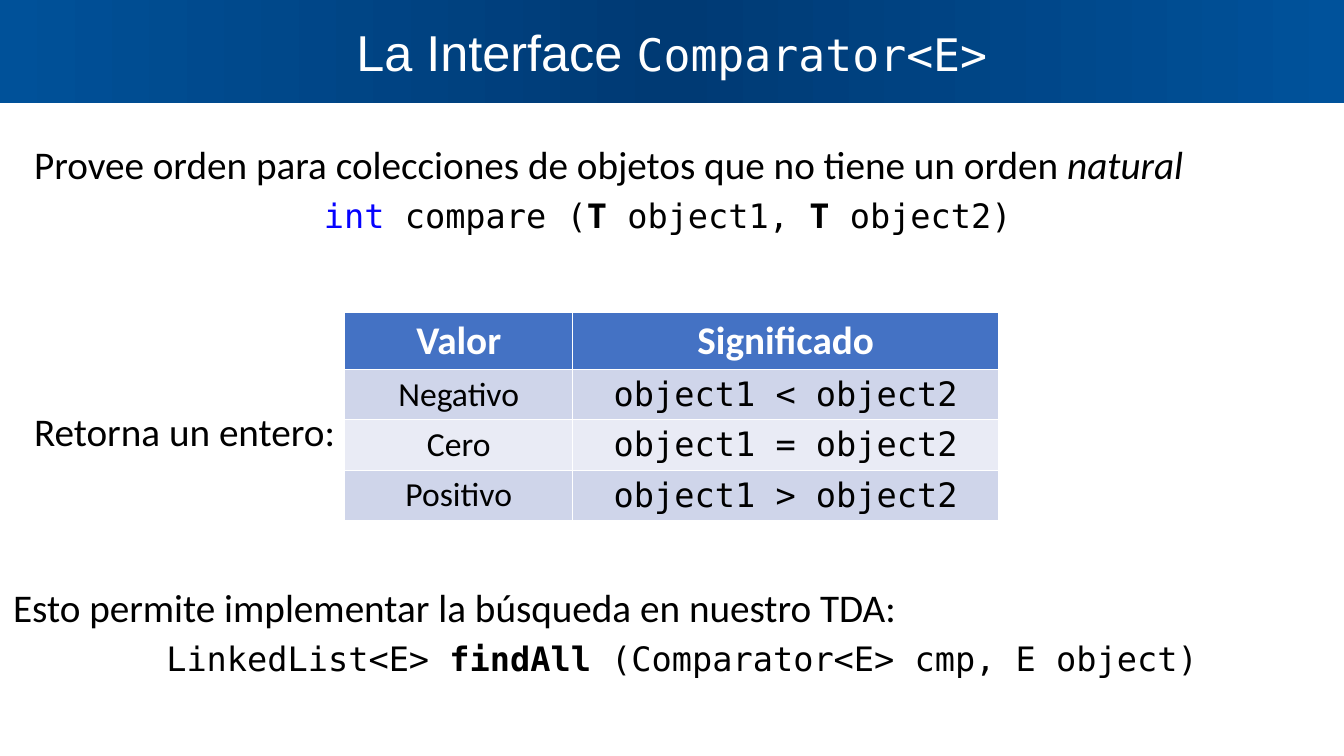
from copy import deepcopy
from pptx import Presentation
from pptx import util as u
from pptx.dml.color import RGBColor
from pptx.enum import text
from pptx.oxml.ns import qn

SANS, MONO = "Calibri", "DejaVu Sans Mono"
BLACK, WHITE, KEYWORD = "000000", "FFFFFF", "0602FF"
HEADER, BAND_DARK, BAND_LIGHT = "4472C4", "CFD5EA", "E9EBF5"
BANNER = [(0, "00529B"), (0.5, "003A74"), (1, "005199")]


def rgb(value):
    return RGBColor.from_string(value)


def add_run(p, words, size, font, color=BLACK, bold=False, italic=False):
    r = p.add_run()
    r.text = words
    f = r.font
    f.size, f.name, f.bold, f.italic = u.Pt(size), font, bold, italic
    f.color.rgb = rgb(color)


def place(sp, left, top, width, height):
    sp.left, sp.top = u.Cm(left), u.Cm(top)
    sp.width, sp.height = u.Cm(width), u.Cm(height)


def banner(s, left, top, width, height):
    """Title on a three-stop horizontal gradient."""
    sp = s.shapes.title
    place(sp, left, top, width, height)
    sp.fill.gradient()
    sp.fill.gradient_angle = 180
    stops = sp.element.spPr.find(".//" + qn("a:gsLst"))
    stops.insert(1, deepcopy(stops[0]))
    for stop, (position, color) in zip(sp.fill.gradient_stops, BANNER):
        stop.position = position
        stop.color.rgb = rgb(color)
    tf = sp.text_frame
    tf.auto_size = text.MSO_AUTO_SIZE.NONE
    tf.vertical_anchor = text.MSO_ANCHOR.MIDDLE
    p = tf.paragraphs[0]
    p.alignment = text.PP_ALIGN.CENTER
    add_run(p, "La Interface ", 36, "Arial", WHITE)
    add_run(p, "Comparator<E>", 32, MONO, WHITE)


def text_line(s, left, top, width, height):
    """Text box without insets; returns its paragraph."""
    tf = s.shapes.add_textbox(u.Cm(left), u.Cm(top), u.Cm(width), u.Cm(height)).text_frame
    tf.word_wrap = True
    tf.auto_size = text.MSO_AUTO_SIZE.SHAPE_TO_FIT_TEXT
    tf.margin_left = tf.margin_top = tf.margin_right = tf.margin_bottom = 0
    return tf.paragraphs[0]


def statement(s, left, top, width, words, emphasis=""):
    p = text_line(s, left, top, width, 1.6)
    p.line_spacing = 1.5
    add_run(p, words, 28, SANS)
    if emphasis:
        add_run(p, emphasis, 28, SANS, italic=True)


def code(s, left, top, width, parts):
    """Centred code line; parts are (words, colour, bold)."""
    p = text_line(s, left, top, width, 1.02)
    p.alignment = text.PP_ALIGN.CENTER
    for words, color, bold in parts:
        add_run(p, words, 24, MONO, color, bold)


def value_table(s, left, top, widths, header_height, row_height):
    rows = [("Valor", "Significado"),
            ("Negativo", "object1 < object2"),
            ("Cero", "object1 = object2"),
            ("Positivo", "object1 > object2")]
    height = header_height + row_height * (len(rows) - 1)
    table = s.shapes.add_table(len(rows), len(widths), u.Cm(left), u.Cm(top),
                               u.Cm(sum(widths)), u.Cm(height)).table
    for column, width in zip(table.columns, widths):
        column.width = u.Cm(width)
    for i, row in enumerate(rows):
        table.rows[i].height = u.Cm(row_height if i else header_height)
        fill = HEADER if i == 0 else BAND_DARK if i % 2 else BAND_LIGHT
        for j, words in enumerate(row):
            cell = table.cell(i, j)
            cell.fill.solid()
            cell.fill.fore_color.rgb = rgb(fill)
            cell.vertical_anchor = text.MSO_ANCHOR.MIDDLE
            cell.margin_top = cell.margin_bottom = u.Cm(0.05)
            p = cell.text_frame.paragraphs[0]
            p.alignment = text.PP_ALIGN.CENTER
            if i == 0:
                add_run(p, words, 28, SANS, WHITE, bold=True)
            else:
                add_run(p, words, 24, MONO if j else SANS)


def main():
    prs = Presentation()
    prs.slide_width, prs.slide_height = u.Cm(33.87), u.Cm(19.05)
    s = prs.slides.add_slide(prs.slide_layouts[5])

    banner(s, 0, 0, 33.87, 2.6)

    # Purpose and method signature
    statement(s, 0.86, 2.95, 32.3,
              "Provee orden para colecciones de objetos que no tiene un orden ", "natural")
    code(s, 0.53, 4.9, 32.6, [
        ("int", KEYWORD, False), (" compare (", BLACK, False), ("T", BLACK, True),
        (" object1, ", BLACK, False), ("T", BLACK, True), (" object2)", BLACK, False)])

    # Return values
    statement(s, 0.86, 9.68, 7.82, "Retorna un entero:")
    value_table(s, 8.69, 7.87, (5.74, 10.74), 1.44, 1.27)

    # Use in the search method
    code(s, 0.53, 16.08, 33.32, [
        ("LinkedList<E> ", BLACK, False), ("findAll", BLACK, True),
        (" (Comparator<E> cmp, E object)", BLACK, False)])
    statement(s, 0.33, 14.1, 32.3, "Esto permite implementar la búsqueda en nuestro TDA:")

    prs.save("out.pptx")


if __name__ == "__main__":
    main()
